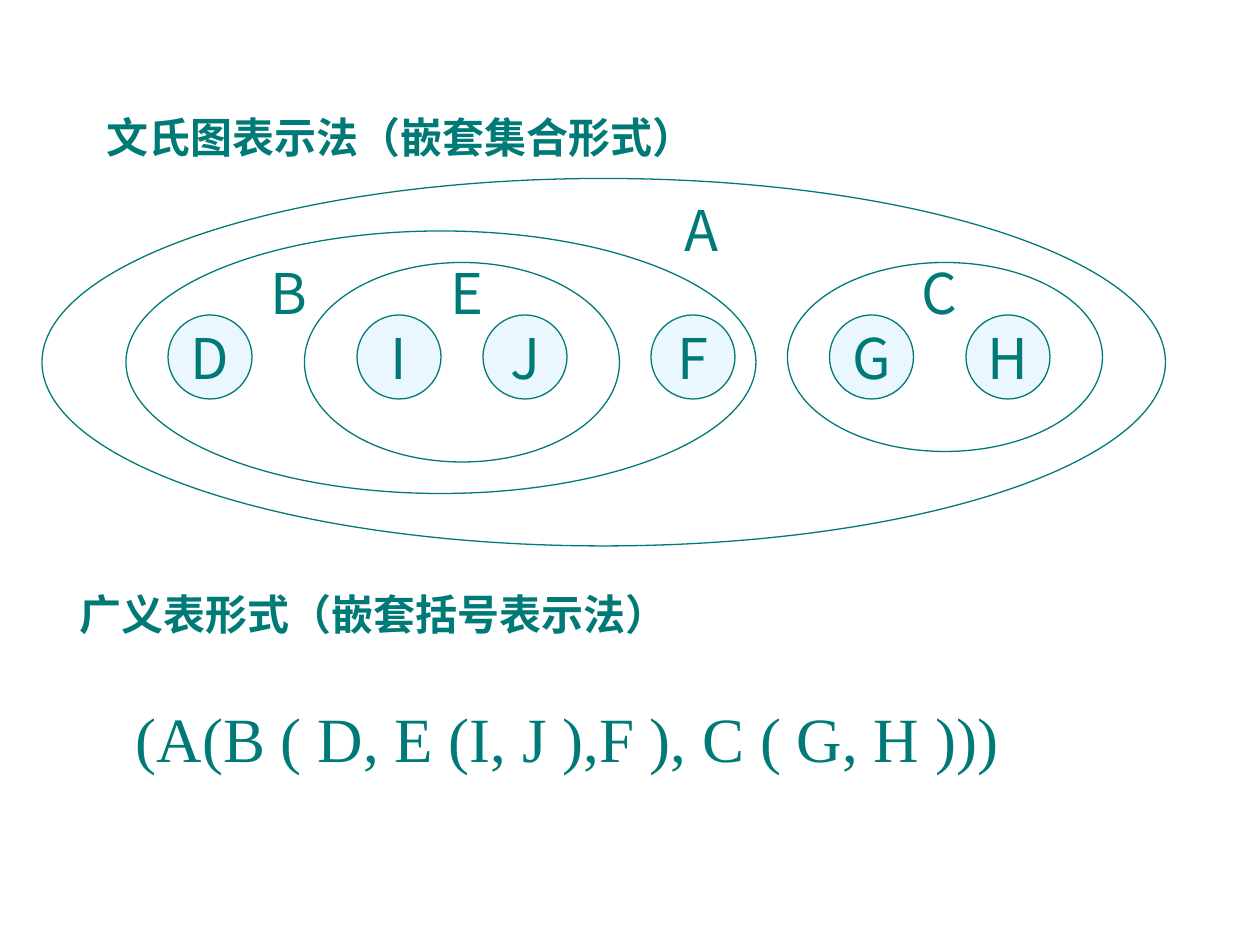
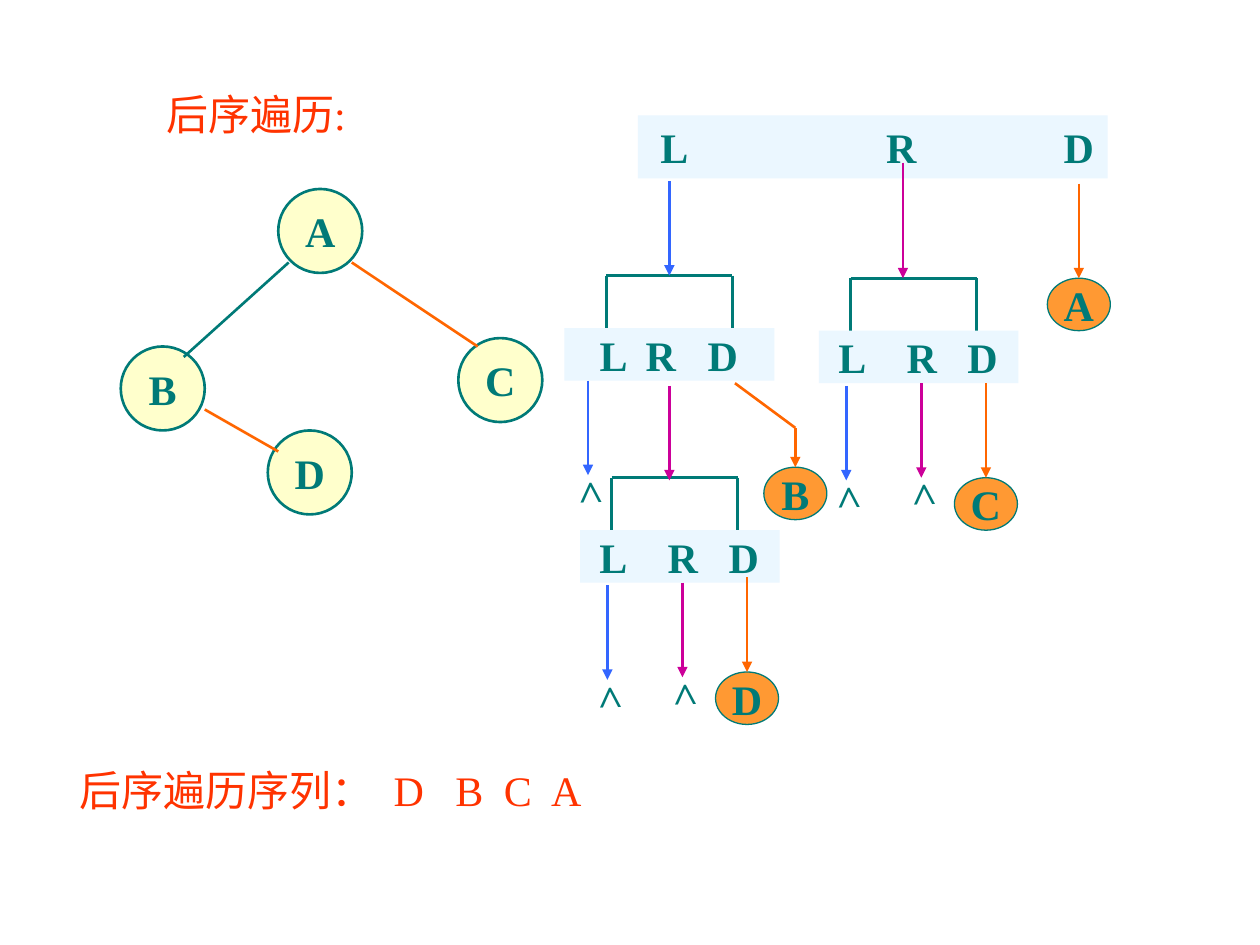
from lxml.etree import SubElement as Sub
from pptx import Presentation
from pptx.dml.color import RGBColor as RGB
from pptx.enum.shapes import MSO_CONNECTOR as Link, MSO_SHAPE as Form
from pptx.enum.text import MSO_ANCHOR as Anchor, PP_ALIGN as Align
from pptx.oxml.ns import qn
from pptx.util import Inches, Pt

TEAL = RGB(0x00, 0x7A, 0x77)
PALE = RGB(0xEB, 0xF7, 0xFF)
CREAM = RGB(0xFF, 0xFF, 0xCC)
AMBER = RGB(0xFF, 0x99, 0x33)
RED = RGB(0xFF, 0x33, 0x00)
BLUE = RGB(0x33, 0x66, 0xFF)
PINK = RGB(0xCC, 0x00, 0x99)
ORANGE = RGB(0xFF, 0x66, 0x00)
SERIF = "Times New Roman"
SANS = "Noto Sans CJK JP"

COLS, ROWS = 120, 90
CELL = Inches(10) / COLS
DISC = 8
LEAF_W, LEAF_H = 6, 5
BAR_H, DROP = 5, 9
LRD = (3.2, 9.8, 15.6)


def grid(*cells):
    return [round(n * CELL) for n in cells]


def write(shape, text, size=24, font=SERIF, color=TEAL, bold=False,
          align=Align.LEFT, anchor=Anchor.TOP, wrap=True, tabs=(), tab="l"):
    """Fill a shape with one line; tabs are cells from the shape's left edge."""
    frame = shape.text_frame
    frame.word_wrap = wrap
    frame.vertical_anchor = anchor
    para = frame.paragraphs[0]
    para.alignment = align
    if tabs:
        stops = Sub(para._p.get_or_add_pPr(), qn("a:tabLst"))
        for stop in tabs:
            pos = round(stop * CELL) - frame.margin_left
            Sub(stops, qn("a:tab"), pos=str(pos), algn=tab)
    run = para.add_run()
    run.text = text
    run.font.name, run.font.size, run.font.bold = font, Pt(size), bold
    run.font.color.rgb = color


def label(slide, text, box, **style):
    area = slide.shapes.add_textbox(*grid(*box))
    write(area, text, **style)
    return area


def draw(slide, form, box, fill=None, edge=None, text="", **style):
    """Add a preset shape; edge is the line width in points."""
    shape = slide.shapes.add_shape(form, *grid(*box))
    shape.shadow.inherit = False
    if fill is None:
        shape.fill.background()
    else:
        shape.fill.solid()
        shape.fill.fore_color.rgb = fill
    if edge:
        shape.line.color.rgb = TEAL
        shape.line.width = Pt(edge)
    else:
        shape.line.fill.background()
    if text:
        write(shape, text, anchor=Anchor.MIDDLE, **style)
    return shape


def disc(slide, text, box, fill, edge, **style):
    return draw(slide, Form.OVAL, box, fill, edge, text,
                align=Align.CENTER, wrap=False, **style)


def line(slide, start, end, color=TEAL, arrow=False):
    link = slide.shapes.add_connector(Link.STRAIGHT, *grid(*start, *end))
    link.line.color.rgb = color
    link.line.width = Pt(1.5)
    props = link._element.spPr
    if arrow:
        Sub(link.line._get_or_add_ln(), qn("a:tailEnd"), type="triangle")
    Sub(props, qn("a:effectLst"))
    return link


def venn(slide, left, top, width, height):
    """Nested sets, placed from the corner of the outer ellipse."""
    for name, x in zip("IJDFGH", (30, 42, 12, 58, 75, 88)):
        disc(slide, name, (left + x, top + 13, DISC, DISC), PALE, 0.75,
             size=32, font=SANS)
    for x, y, w, h in ((25, 8, 30, 19), (71, 8, 30, 18), (8, 5, 60, 25),
                       (0, 0, width, height)):
        draw(slide, Form.OVAL, (left + x, top + y, w, h), edge=0.75)
    for name, x, y, align in (("A", 60, 1, Align.LEFT),
                              ("B", 19, 7, Align.CENTER),
                              ("C", 81, 7, Align.CENTER),
                              ("E", 36, 7, Align.CENTER)):
        label(slide, name, (left + x, top + y, 9, 7.7),
              size=32, font=SANS, align=align)


def tree(slide, left, top):
    """Binary tree, placed from its left and top edges."""
    for name, x, y in (("A", 15, 0), ("D", 14, 23), ("B", 0, 15),
                       ("C", 32.15, 14.2)):
        disc(slide, name, (left + x, top + y, DISC, DISC), CREAM, 1.5,
             bold=True)
    for x1, y1, x2, y2, color in ((16, 7, 6, 16, TEAL),
                                  (22, 7, 34, 15, ORANGE),
                                  (8, 21, 15, 25, ORANGE)):
        line(slide, (left + x1, top + y1), (left + x2, top + y2), color)


def bar(slide, box, stops):
    draw(slide, Form.RECTANGLE, box, PALE, text="\tL\tR\tD",
         bold=True, tabs=stops, tab="ctr")


def leaf(slide, name, x, y, run=DROP):
    """Visit arrow from (x, y) down to a node."""
    end = y + run
    node = disc(slide, name, (x - LEAF_W / 2, end, LEAF_W, LEAF_H), AMBER,
                0.75, bold=True)
    line(slide, (x, y), (x, end), ORANGE, True).end_connect(node, 0)


def null(slide, x, y, color):
    """Arrow from (x, y) down to an empty subtree."""
    mark = label(slide, ">", (x - 2.5, y + DROP - 1.5, 5, 6), bold=True)
    mark.rotation = 268.3
    line(slide, (x, y), (x, y + DROP), color, True)


def branch(slide, left, top, width, inset, stops=LRD):
    """Bar of three steps under a bracket."""
    x1, x2, roof = left + inset, left + inset + 12, top - 5
    line(slide, (x1, roof), (x2, roof))
    for x in (x1, x2):
        line(slide, (x, roof), (x, top))
    bar(slide, (left, top, width, BAR_H), stops)


def ends(slide, left, top, name, last):
    """Two empty subtrees and the visit below a bar."""
    null(slide, left + 2.6, top + 5.25, BLUE)
    null(slide, left + 9.75, top + BAR_H, PINK)
    leaf(slide, name, left + 15.9, top + last)


def trace(slide, left, top):
    """Recursive calls, placed from the left and top of the whole trace."""
    bar(slide, (left + 7, top, 44.75, 6), (3.5, 25.1, 42))
    leaf(slide, "A", left + 49, top + 6.5)

    mid = left + 10
    branch(slide, left, top + 20.25, 20, 4, (4.7, 9.2, 15.1))
    line(slide, (mid, top + 6.25), (mid, top + 15.25), BLUE, True)
    null(slide, left + 2.25, top + 25.25, BLUE)
    line(slide, (left + 16.25, top + 25.5), (left + 22, top + 29.75), ORANGE)
    leaf(slide, "B", left + 22, top + 29.75, 3.75)

    branch(slide, left + 1.5, top + 39.5, 19, 3)
    line(slide, (mid, top + 25.75), (mid, top + 34.75), PINK, True)
    ends(slide, left + 1.5, top + 39.5, "D", 4.5)

    branch(slide, left + 24.25, top + 20.5, 19, 3)
    line(slide, (left + 32.25, top + 4.5), (left + 32.25, top + 15.5),
         PINK, True)
    ends(slide, left + 24.25, top + 20.5, "C", BAR_H)


def notation(slide):
    label(slide, "文氏图表示法（嵌套集合形式）", (9, 10, 65, 6), bold=True)
    venn(slide, 4, 17, 107, 35)
    label(slide, "(A(B ( D, E (I, J ),F ), C ( G, H )))",
          (11.75, 66, 87, 8.4), size=36)
    label(slide, "广义表形式（嵌套括号表示法）", (6.4, 55.5, 60, 6),
          bold=True, wrap=False)


def postorder(slide):
    tree(slide, 11.5, 18)
    trace(slide, 53.75, 11)
    label(slide, "后序遍历序列：\tD\tB\tC\tA", (6.4, 72.25, 50.25, 6),
          color=RED, tabs=(31.1, 37, 41.6, 46.1))
    label(slide, "后序遍历:", (14.65, 7.8, 20.4, 6), color=RED, wrap=False)


def main():
    deck = Presentation()
    deck.slide_width, deck.slide_height = grid(COLS, ROWS)
    for build in (notation, postorder):
        build(deck.slides.add_slide(deck.slide_layouts[6]))
    deck.save("out.pptx")


if __name__ == "__main__":
    main()
